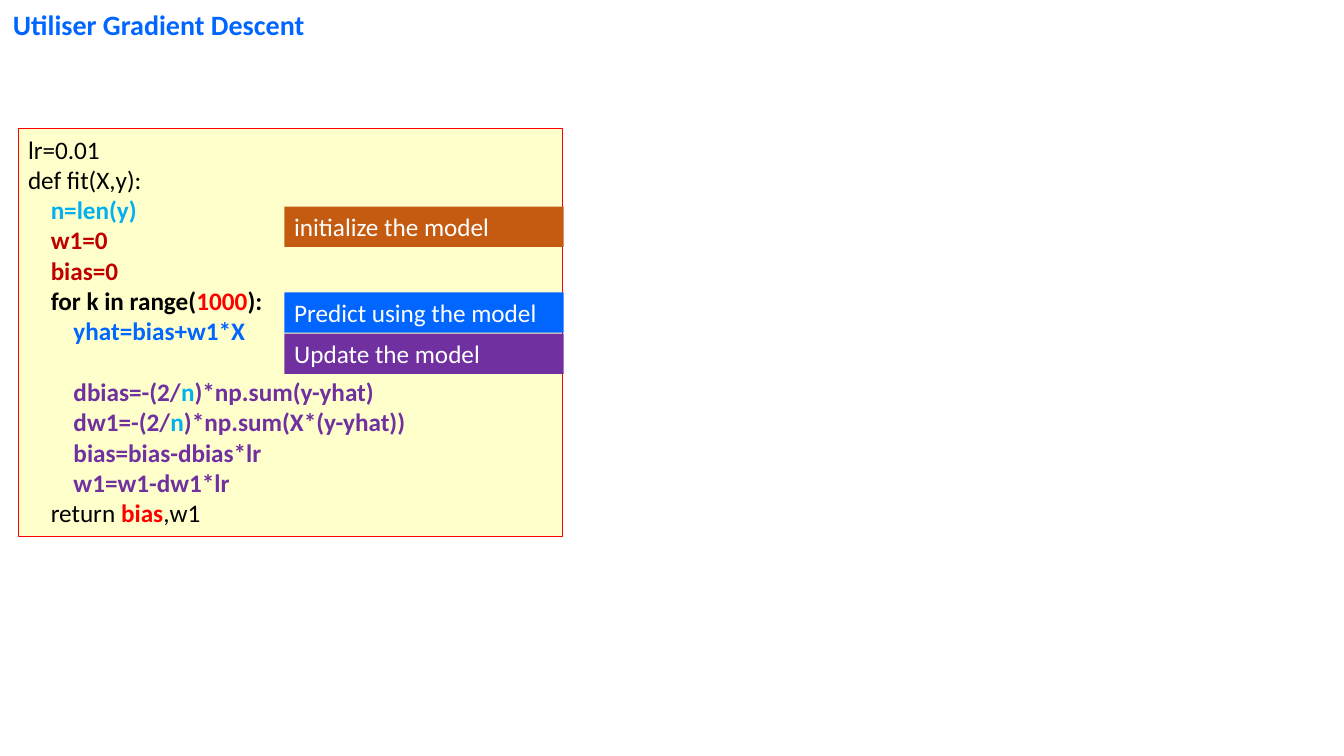
from pptx import Presentation
from pptx import util as u
from pptx.dml.color import RGBColor
from pptx.enum import shapes, text

PX = 9144
SLIDE = (1333, 750)
FONT = "Calibri"
BLACK, WHITE, RED, DARK_RED = "000000", "FFFFFF", "FF0000", "C00000"
BLUE, CYAN, PURPLE, ORANGE, CREAM = "0066FF", "00B0F0", "7030A0", "C55A11", "FFFFCC"

TITLE = ("Utiliser Gradient Descent", BLUE, True)
TITLE_AT = (3, 3, 578, 44)
CODE_AT = (18, 128, 540, 404)
CODE = [
    [("lr=0.01", BLACK, False)],
    [("def fit(X,y):", BLACK, False)],
    [("    n=len(y)", CYAN, True)],
    [("    w1=0", DARK_RED, True)],
    [("    bias=0", DARK_RED, True)],
    [("    for k in range(", BLACK, True), ("1000", RED, True), ("):", BLACK, True)],
    [("        yhat=bias+w1*X", BLUE, True)],
    [("        dbias=-(2/", PURPLE, True), ("n", CYAN, True),
     (")*np.sum(y-yhat)", PURPLE, True)],
    [("        dw1=-(2/", PURPLE, True), ("n", CYAN, True),
     (")*np.sum(X*(y-yhat))", PURPLE, True)],
    [("        bias=bias-dbias*lr", PURPLE, True)],
    [("        w1=w1-dw1*lr", PURPLE, True)],
    [("    return ", BLACK, False), ("bias", RED, True), (",w1", BLACK, False)],
]
UPDATE_LINE = 7
LINE_GAP = 22
LABEL_LEFT, LABEL_WIDTH, LABEL_HEIGHT = 282, 277, 40
LABELS = [
    ("initialize the model", 205, ORANGE),
    ("Predict using the model", 290, BLUE),
    ("Update the model", 331, PURPLE),
]


def color(code):
    return RGBColor.from_string(code)


def emu(lengths):
    return [length * PX for length in lengths]


def write(box, lines, size):
    frame = box.text_frame
    frame_format = {
        "word_wrap": True,
        "vertical_anchor": text.MSO_ANCHOR.TOP,
        "auto_size": text.MSO_AUTO_SIZE.SHAPE_TO_FIT_TEXT,
    }
    for name, value in frame_format.items():
        setattr(frame, name, value)
    for index, line in enumerate(lines):
        para = frame.paragraphs[0] if index == 0 else frame.add_paragraph()
        para.alignment = text.PP_ALIGN.LEFT
        for words, tint, bold in line:
            span = para.add_run()
            span.text = words
            for name, value in {"name": FONT, "size": u.Pt(size), "bold": bold}.items():
                setattr(span.font, name, value)
            span.font.color.rgb = color(tint)


def add_panel(page, place, fill, lines, border=None):
    box = page.shapes.add_shape(shapes.MSO_SHAPE.RECTANGLE, *emu(place))
    box.shadow.inherit = False
    box.fill.solid()
    box.fill.fore_color.rgb = color(fill)
    if border:
        box.line.color.rgb = color(border)
        box.line.width = u.Pt(0.75)
    else:
        box.line.fill.background()
    write(box, lines, 18)
    return box


def main():
    deck = Presentation()
    deck.slide_width, deck.slide_height = emu(SLIDE)
    page = deck.slides.add_slide(deck.slide_layouts[6])

    write(page.shapes.add_textbox(*emu(TITLE_AT)), [[TITLE]], 20)
    code = add_panel(page, CODE_AT, CREAM, CODE, RED)
    code.text_frame.paragraphs[UPDATE_LINE].space_before = u.Pt(LINE_GAP)
    for words, top, fill in LABELS:
        place = (LABEL_LEFT, top, LABEL_WIDTH, LABEL_HEIGHT)
        add_panel(page, place, fill, [[(words, WHITE, False)]])

    deck.save("out.pptx")


if __name__ == "__main__":
    main()
